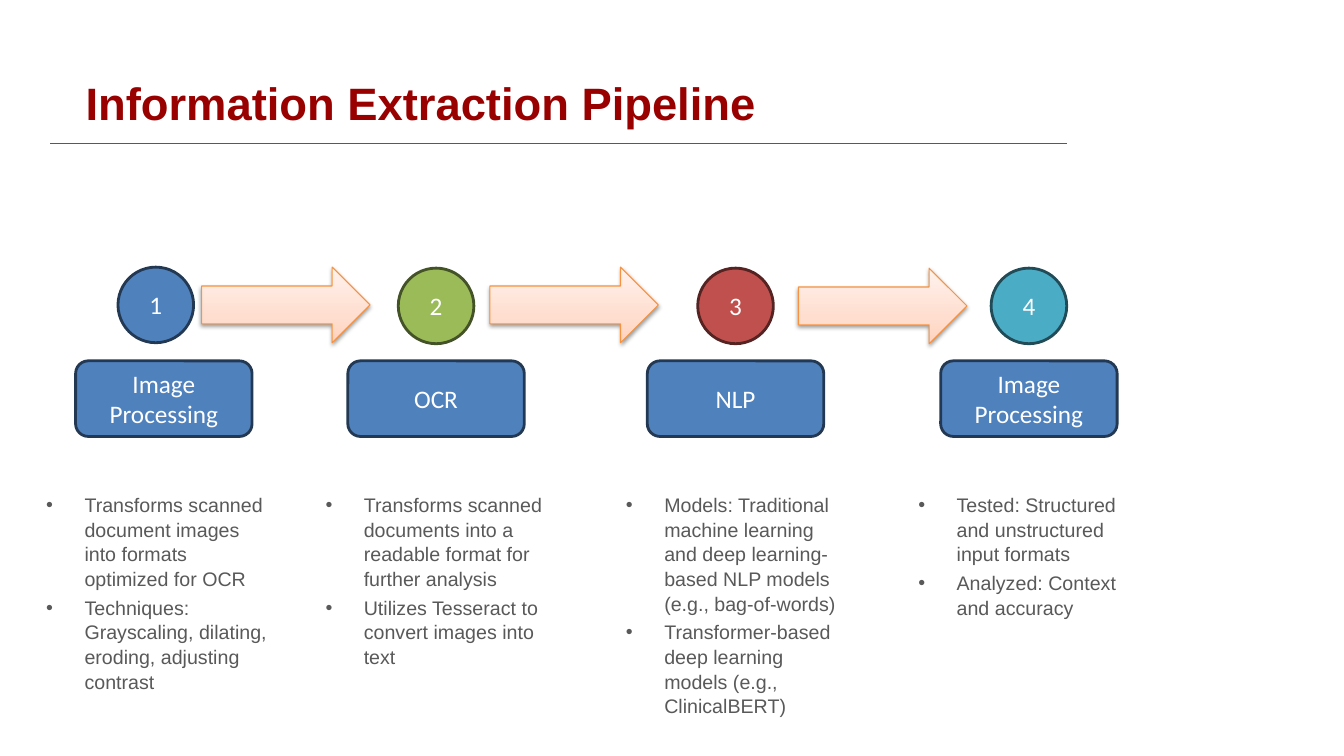
from lxml import etree
from pptx import Presentation
from pptx import util as u
from pptx.dml.color import RGBColor
from pptx.enum import shapes, text
from pptx.oxml import parse_xml
from pptx.oxml.ns import nsdecls, qn

TITLE = "Information Extraction Pipeline"
STEPS = [
    dict(name="Image Processing", fill="4F81BD", edge="233953",
         circle=1.17, label=0.75, notes=0.36, top=2.65,
         points=["Transforms scanned document images into formats optimized for OCR",
                 "Techniques: Grayscaling, dilating, eroding, adjusting contrast"]),
    dict(name="OCR", fill="9BBB59", edge="445227",
         circle=3.95, label=3.45, notes=3.13, top=2.66,
         points=["Transforms scanned documents into a readable format for further analysis",
                 "Utilizes Tesseract to convert images into text"]),
    dict(name="NLP", fill="C0504D", edge="542322",
         circle=6.92, label=6.42, notes=6.11, top=2.66,
         points=["Models: Traditional machine learning and deep learning-based NLP models "
                 "(e.g., bag-of-words)",
                 "Transformer-based deep learning models (e.g., ClinicalBERT)"]),
    dict(name="Image Processing", fill="4BACC6", edge="214B57",
         circle=9.83, label=9.33, notes=9.01, top=2.66,
         points=["Tested: Structured and unstructured input formats",
                 "Analyzed: Context and accuracy"]),
]
ARROWS = [(2, 2.65), (4.86, 2.65), (7.92, 2.66)]

THEME = dict(
    heading_font="Arial", shape_font="Calibri",
    title_size=32.4, shape_size=18, note_size=14,
    title="990000", body="595959", on_fill="FFFFFF",
    label_fill="4F81BD", label_edge="233953", arrow_edge="F69240",
    arrow_stops=[(0, "FFD2BD"), (35, "FFDED0"), (100, "FFF2ED")],
)
ROW = 0.75
INDENT = 0.38


def write(shape, lines, font, size, color, bold=False, bullets=False,
          align=text.PP_ALIGN.LEFT, anchor=text.MSO_ANCHOR.MIDDLE):
    frame = shape.text_frame
    frame.word_wrap = True
    frame.vertical_anchor = anchor
    for number, line in enumerate(lines):
        paragraph = frame.add_paragraph() if number else frame.paragraphs[0]
        paragraph.alignment = align
        run = paragraph.add_run()
        run.text = line
        run.font.name = font
        run.font.size = u.Pt(size)
        run.font.bold = bold
        run.font.color.rgb = RGBColor.from_string(color)
        if bullets:
            paragraph.space_before = u.Pt(size * 0.2)
            paragraph.line_spacing = 1.05
            props = paragraph._p.get_or_add_pPr()
            props.set("marL", str(u.Inches(INDENT)))
            props.set("indent", str(-u.Inches(INDENT)))
            etree.SubElement(props, qn("a:buFont"), typeface=font)
            etree.SubElement(props, qn("a:buChar"), char="•")


def add_textbox(slide, left, top, width, height):
    return slide.shapes.add_textbox(*map(u.Inches, (left, top, width, height)))


def add_outlined(slide, kind, left, top, width, edge, weight, fill=None):
    shape = slide.shapes.add_shape(kind, *map(u.Inches, (left, top, width, ROW)))
    shape.shadow.inherit = False
    shape.line.color.rgb = RGBColor.from_string(edge)
    shape.line.width = u.Pt(weight)
    if fill:
        shape.fill.solid()
        shape.fill.fore_color.rgb = RGBColor.from_string(fill)
    return shape


def add_arrow(slide, left, top):
    arrow = add_outlined(slide, shapes.MSO_SHAPE.RIGHT_ARROW, left, top, 1.67,
                         THEME["arrow_edge"], 0.75)
    stops = "".join(f'<a:gs pos="{pos * 1000}"><a:srgbClr val="{color}"/></a:gs>'
                    for pos, color in THEME["arrow_stops"])
    props = arrow._element.spPr
    props.find(qn("a:prstGeom")).addnext(parse_xml(
        f'<a:gradFill {nsdecls("a")} rotWithShape="1"><a:gsLst>{stops}</a:gsLst>'
        '<a:lin ang="16200000" scaled="0"/></a:gradFill>'))
    props.find(qn("a:effectLst")).append(parse_xml(
        f'<a:outerShdw {nsdecls("a")} blurRad="{u.Pt(3.1)}" dist="{u.Pt(1.6)}" '
        'dir="5400000" rotWithShape="0"><a:srgbClr val="000000">'
        '<a:alpha val="38000"/></a:srgbClr></a:outerShdw>'))


def add_rule(slide):
    rule = slide.shapes.add_connector(
        shapes.MSO_CONNECTOR.STRAIGHT, *map(u.Inches, (0.5, 1.42, 10.58, 1.42)))
    rule.line.color.rgb = RGBColor.from_string(THEME["body"])
    rule.line.width = u.Pt(0.75)
    etree.SubElement(rule._element.spPr, qn("a:effectLst"))


def main():
    deck = Presentation()
    deck.slide_width, deck.slide_height = u.Inches(13.33), u.Inches(7.5)
    slide = deck.slides.add_slide(deck.slide_layouts[6])

    write(add_textbox(slide, 0.75, 0.47, 6.92, 1.1), [TITLE],
          THEME["heading_font"], THEME["title_size"], THEME["title"], bold=True)
    add_rule(slide)

    on_shape = dict(font=THEME["shape_font"], size=THEME["shape_size"],
                    color=THEME["on_fill"], align=text.PP_ALIGN.CENTER)
    for number, step in enumerate(STEPS, 1):
        circle = add_outlined(slide, shapes.MSO_SHAPE.OVAL, step["circle"], step["top"],
                              ROW, step["edge"], 2, step["fill"])
        write(circle, [str(number)], **on_shape)
    for left, top in ARROWS:
        add_arrow(slide, left, top)
    for step in STEPS:
        label = add_outlined(slide, shapes.MSO_SHAPE.ROUNDED_RECTANGLE, step["label"], 3.58,
                             1.75, THEME["label_edge"], 2, THEME["label_fill"])
        write(label, [step["name"]], **on_shape)
    for step in STEPS:
        write(add_textbox(slide, step["notes"], 4.83, 2.39, 1.92), step["points"],
              THEME["heading_font"], THEME["note_size"], THEME["body"],
              bullets=True, anchor=text.MSO_ANCHOR.TOP)

    deck.save("out.pptx")


if __name__ == "__main__":
    main()
